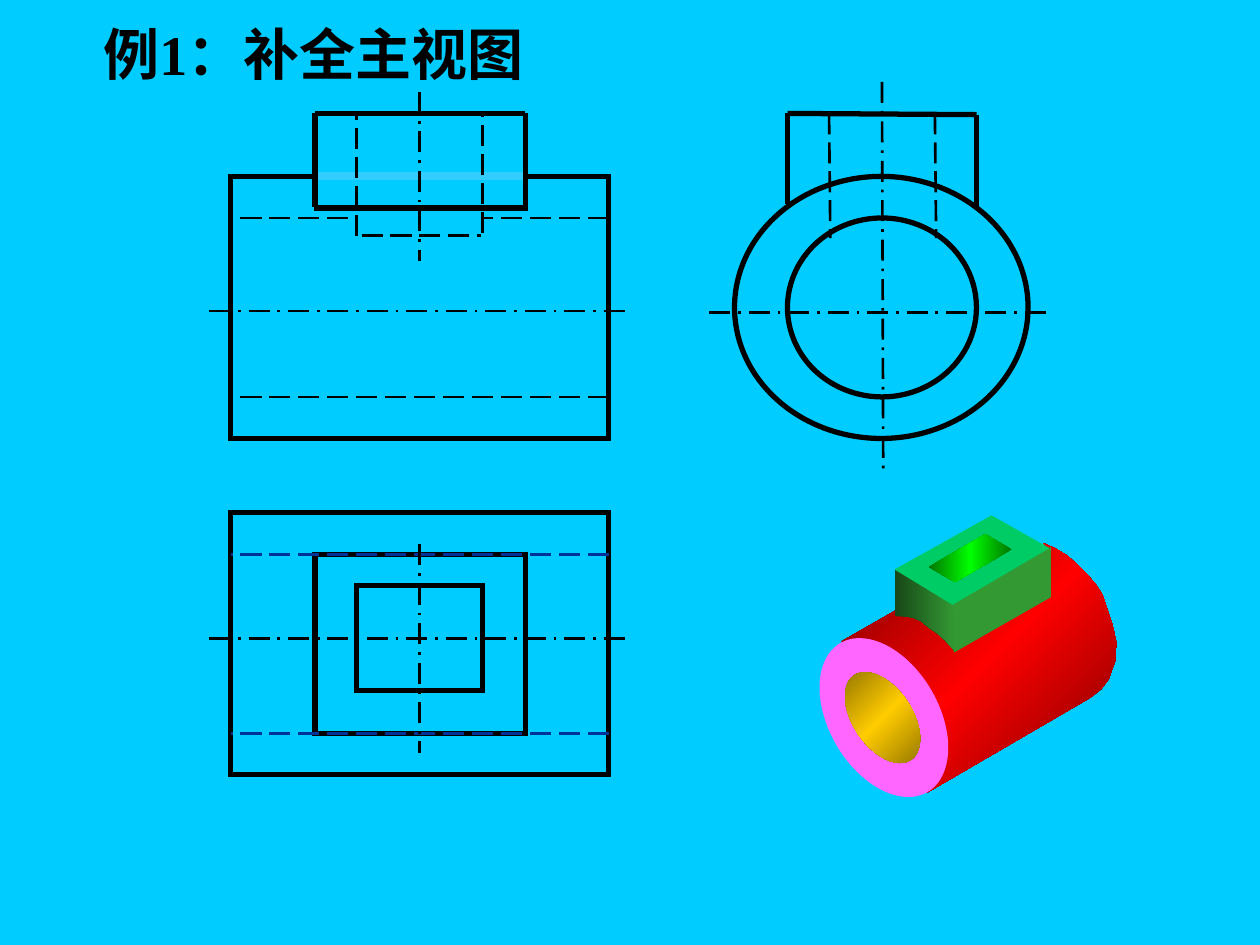
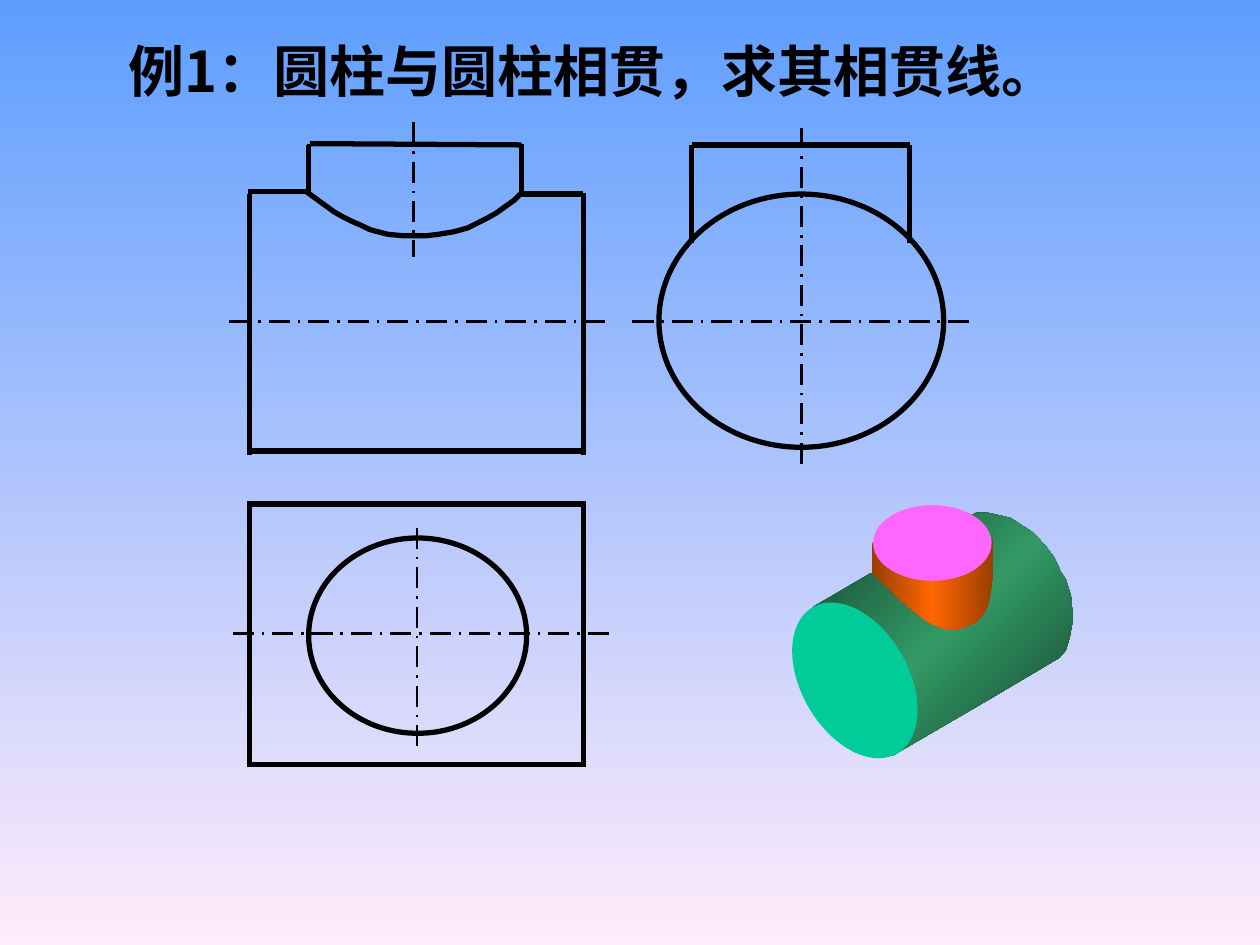
import copy
from dataclasses import dataclass
from typing import Any, Optional, Union

import pptx
import pptx.dml.color
import pptx.enum.dml
import pptx.enum.shapes
import pptx.enum.text
import pptx.oxml.ns
import pptx.util
from lxml import etree

PX = 9144
BLACK = "000000"
CJK = "Noto Sans CJK SC"
SERIF = "Times New Roman"
THICK, THIN, HAIR = 3, 1.5, 0.75
DASH = pptx.enum.dml.MSO_LINE.LONG_DASH
AXIS = pptx.enum.dml.MSO_LINE.LONG_DASH_DOT
RECT = pptx.enum.shapes.MSO_SHAPE.RECTANGLE
OVAL = pptx.enum.shapes.MSO_SHAPE.OVAL
qn = pptx.oxml.ns.qn


@dataclass(frozen=True)
class Gradient:
    colors: tuple[str, ...]
    angle: int


Paint = Union[str, Gradient]


@dataclass(frozen=True)
class Line:
    x1: int
    y1: int
    x2: int
    y2: int
    width: float = THICK
    dash: Any = None
    color: str = BLACK


@dataclass(frozen=True)
class Box:
    kind: Any
    left: int
    top: int
    width: int
    height: int
    fill: Optional[Paint] = None
    line: float = THICK
    rotation: float = 0


@dataclass(frozen=True)
class Outline:
    points: tuple[tuple[int, int], ...]
    fill: Optional[Paint] = None


@dataclass(frozen=True)
class Group:
    items: tuple[Any, ...]


@dataclass(frozen=True)
class Title:
    text: str
    left: int
    top: int
    width: int
    font: str


def rgb(value: str) -> Any:
    return pptx.dml.color.RGBColor.from_string(value)


def px(value: int) -> int:
    return value * PX


def axis(x1: int, y1: int, x2: int, y2: int) -> Line:
    return Line(x1, y1, x2, y2, THIN, AXIS)


def hidden(x1: int, y1: int, x2: int, y2: int, color: str = BLACK) -> Line:
    return Line(x1, y1, x2, y2, THIN, DASH, color)


def shaded(dark: str, light: str, angle: int) -> Gradient:
    return Gradient((dark, light, dark), angle)


def paint(fill: Any, root: Any, value: Optional[Paint]) -> None:
    if value is None:
        fill.background()
    elif isinstance(value, str):
        fill.solid()
        fill.fore_color.rgb = rgb(value)
    else:
        fill.gradient()
        fill.gradient_angle = -value.angle % 360
        stops = next(root.iter(qn("a:gsLst")))
        for _ in value.colors[2:]:
            stops.append(copy.deepcopy(stops[-1]))
        last = len(value.colors) - 1
        for i, (stop, color) in enumerate(zip(fill.gradient_stops, value.colors)):
            stop.color.rgb = rgb(color)
            stop.position = i / last


def stroke(line: Any, width: float, color: str = BLACK) -> None:
    line.fill.solid()
    line.fill.fore_color.rgb = rgb(color)
    line.width = pptx.util.Pt(width)


def finish(sp: Any, fill: Optional[Paint], width: float) -> None:
    sp.shadow.inherit = False
    paint(sp.fill, sp._element.spPr, fill)
    if fill is None:
        stroke(sp.line, width)
    else:
        sp.line.fill.background()


def draw_line(shapes: Any, item: Line) -> None:
    ends = map(px, (item.x1, item.y1, item.x2, item.y2))
    cn = shapes.add_connector(pptx.enum.shapes.MSO_CONNECTOR.STRAIGHT, *ends)
    stroke(cn.line, item.width, item.color)
    if item.dash is not None:
        cn.line.dash_style = item.dash
    etree.SubElement(cn._element.spPr, qn("a:effectLst"))


def draw_box(shapes: Any, item: Box) -> None:
    frame = map(px, (item.left, item.top, item.width, item.height))
    sp = shapes.add_shape(item.kind, *frame)
    sp.rotation = item.rotation
    finish(sp, item.fill, item.line)
    if item.kind == RECT:
        etree.SubElement(sp._element.spPr.find(qn("a:ln")), qn("a:miter"), lim="800000")


def draw_outline(shapes: Any, item: Outline) -> None:
    builder = shapes.build_freeform(*item.points[0], scale=PX)
    builder.add_line_segments(item.points[1:], close=item.fill is not None)
    finish(builder.convert_to_shape(), item.fill, THICK)


def draw(shapes: Any, items: tuple[Any, ...]) -> None:
    for item in items:
        if isinstance(item, Group):
            draw(shapes.add_group_shape().shapes, item.items)
        elif isinstance(item, Line):
            draw_line(shapes, item)
        elif isinstance(item, Box):
            draw_box(shapes, item)
        else:
            draw_outline(shapes, item)


def set_title(s: Any, title: Title) -> None:
    sp = s.shapes.title
    sp.left, sp.top, sp.width, sp.height = map(px, (title.left, title.top, title.width, 64))
    tf = sp.text_frame
    tf.text = title.text
    tf.word_wrap = True
    tf.auto_size = pptx.enum.text.MSO_AUTO_SIZE.NONE
    tf.vertical_anchor = pptx.enum.text.MSO_ANCHOR.MIDDLE
    p = tf.paragraphs[0]
    p.alignment = pptx.enum.text.PP_ALIGN.LEFT
    p.font.size = pptx.util.Pt(32)
    p.font.bold = True
    p.font.color.rgb = rgb(BLACK)
    p.font.name = title.font
    etree.SubElement(p._p.pPr.find(qn("a:defRPr")), qn("a:ea"), typeface=CJK)


def add_slide(prs: Any, background: Paint, title: Title, items: tuple[Any, ...]) -> None:
    s = prs.slides.add_slide(prs.slide_layouts[5])
    paint(s.background.fill, s._element, background)
    set_title(s, title)
    draw(s.shapes, items)


PIPE_BODY = (
    (668, 509), (710, 485), (715, 482), (720, 485), (729, 489), (735, 491), (738, 496),
    (743, 499), (749, 504), (754, 507), (757, 516), (834, 471), (834, 438), (828, 431),
    (837, 435), (847, 441), (856, 449), (862, 455), (869, 463), (875, 472), (879, 484),
    (883, 496), (886, 510), (885, 525), (880, 539), (874, 547), (865, 554), (736, 629),
    (735, 615), (751, 605), (753, 594), (751, 581), (746, 568), (741, 556), (735, 542),
    (728, 534), (720, 527), (708, 518), (696, 510), (686, 507), (677, 508),
)
COLLAR_LEFT = (
    (710, 452), (758, 480), (758, 517), (750, 508), (743, 502), (737, 498),
    (731, 493), (724, 490), (716, 489), (710, 489),
)
COLLAR_RIGHT = ((755, 476), (757, 485), (757, 518), (834, 474), (834, 434))
COLLAR_TOP = ((710, 452), (756, 480), (833, 435), (787, 409))
COLLAR_HOLE = ((737, 450), (782, 424), (803, 436), (758, 462))

PIPE_MODEL = Group((
    Outline(PIPE_BODY, shaded("760000", "FF0000", 45)),
    Box(OVAL, 658, 501, 87, 137, "FF66FF", rotation=329.6),
    Outline(COLLAR_LEFT, Gradient(("184718", "339933"), 0)),
    Outline(COLLAR_RIGHT, "339933"),
    Outline(COLLAR_TOP, "00CC66"),
    Outline(COLLAR_HOLE, shaded("007600", "00FF00", 0)),
    Box(OVAL, 677, 529, 47, 81, shaded("765E00", "FFCC00", 79), rotation=326.1),
))

PIPE_VIEWS = (
    axis(166, 247, 498, 247),
    axis(166, 507, 500, 507),
    hidden(483, 173, 183, 173),
    Box(RECT, 183, 140, 300, 208, line=2.25),
    Box(RECT, 183, 140, 300, 208),
    axis(563, 248, 836, 248),
    axis(700, 65, 701, 373),
    Box(OVAL, 583, 140, 233, 208),
    Box(RECT, 183, 407, 300, 208),
    Box(RECT, 250, 440, 167, 142),
    Line(625, 90, 775, 91),
    Line(625, 90, 625, 162),
    Line(775, 91, 775, 165),
    Line(249, 165, 419, 165),
    *(hidden(483, y, 183, y, "003399") for y in (440, 582)),
    Box(OVAL, 625, 173, 150, 142),
    hidden(483, 315, 183, 315),
    Box(RECT, 283, 465, 100, 83),
    *(hidden(x, 90, x + 1, 189) for x in (658, 742)),
    hidden(287, 187, 382, 187),
    Line(283, 173, 383, 173, color="00CCFF"),
    axis(333, 432, 333, 598),
    PIPE_MODEL,
    Line(250, 140, 417, 140, 4.5, color="33CCFF"),
    Group((
        Line(250, 90, 250, 164),
        Line(250, 90, 417, 90),
        Line(417, 90, 417, 167),
    )),
    hidden(283, 187, 283, 90),
    hidden(383, 185, 383, 90),
    axis(333, 73, 333, 207),
)

CYLINDER_BODY = (
    (645, 482), (691, 455), (703, 460), (712, 465), (717, 471), (724, 482), (741, 491),
    (760, 494), (776, 492), (780, 483), (784, 469), (786, 456), (787, 442), (783, 427),
    (778, 417), (769, 410), (775, 407), (784, 407), (793, 409), (802, 411), (811, 417),
    (819, 422), (825, 428), (832, 436), (837, 443), (842, 454), (846, 460), (850, 473),
    (851, 484), (851, 495), (849, 506), (846, 516), (841, 522), (787, 554), (708, 600),
    (716, 587), (724, 575), (725, 557), (720, 539), (713, 522), (707, 513), (698, 503),
    (686, 492), (668, 483), (656, 481),
)
BRANCH_SIDE = (
    (692, 430), (692, 455), (703, 465), (712, 474), (720, 481), (729, 488), (737, 494),
    (746, 498), (754, 500), (763, 499), (768, 497), (776, 493), (782, 485), (785, 478),
    (787, 466), (788, 461), (788, 427), (782, 439), (778, 446), (771, 451), (762, 454),
    (755, 455), (744, 457), (737, 458), (724, 456), (717, 452), (708, 450), (701, 443),
    (697, 439),
)
INTERSECTION = (
    (243, 152), (254, 160), (265, 168), (272, 172), (280, 176), (287, 179), (293, 182),
    (300, 184), (308, 186), (319, 187), (330, 187), (339, 187), (348, 186), (360, 184),
    (371, 181), (379, 177), (387, 173), (394, 169), (401, 164), (408, 159), (414, 153),
)

CYLINDER_MODEL = Group((
    Outline(CYLINDER_BODY, shaded("16422C", "339966", 45)),
    Box(OVAL, 636, 473, 85, 134, "00CC99", rotation=330),
    Outline(BRANCH_SIDE, shaded("9B3E00", "FF6600", 0)),
    Box(OVAL, 693, 401, 94, 60, "FF66FF"),
))

CYLINDER_VIEWS = (
    axis(182, 255, 481, 255),
    axis(502, 255, 772, 255),
    Box(OVAL, 245, 427, 173, 155),
    Line(244, 115, 414, 115, HAIR),
    Line(198, 154, 198, 361),
    Line(197, 358, 465, 358),
    Line(463, 361, 463, 153),
    Line(414, 154, 463, 154),
    Line(245, 115, 245, 154),
    Line(246, 114, 414, 115),
    axis(636, 368, 636, 102),
    axis(483, 503, 185, 503),
    Box(OVAL, 523, 154, 226, 201),
    Box(RECT, 198, 400, 265, 207),
    axis(331, 419, 331, 594),
    Line(244, 155, 244, 114, HAIR),
    Line(549, 115, 722, 115),
    *(Line(x, 115, x, 193) for x in (549, 722)),
    Outline(INTERSECTION),
    CYLINDER_MODEL,
    Line(414, 114, 414, 153),
    Line(244, 152, 197, 152),
    axis(328, 97, 328, 204),
)


def main() -> None:
    prs = pptx.Presentation()
    prs.slide_width, prs.slide_height = px(1000), px(750)
    add_slide(prs, "00CCFF", Title("例1：补全主视图", 72, 10, 420, SERIF), PIPE_VIEWS)
    sky = Gradient(("5E9EFF", "FFEBFA"), 90)
    add_slide(prs, sky, Title("例1：圆柱与圆柱相贯，求其相贯线。", 92, 24, 833, CJK), CYLINDER_VIEWS)
    prs.save("out.pptx")


if __name__ == "__main__":
    main()
